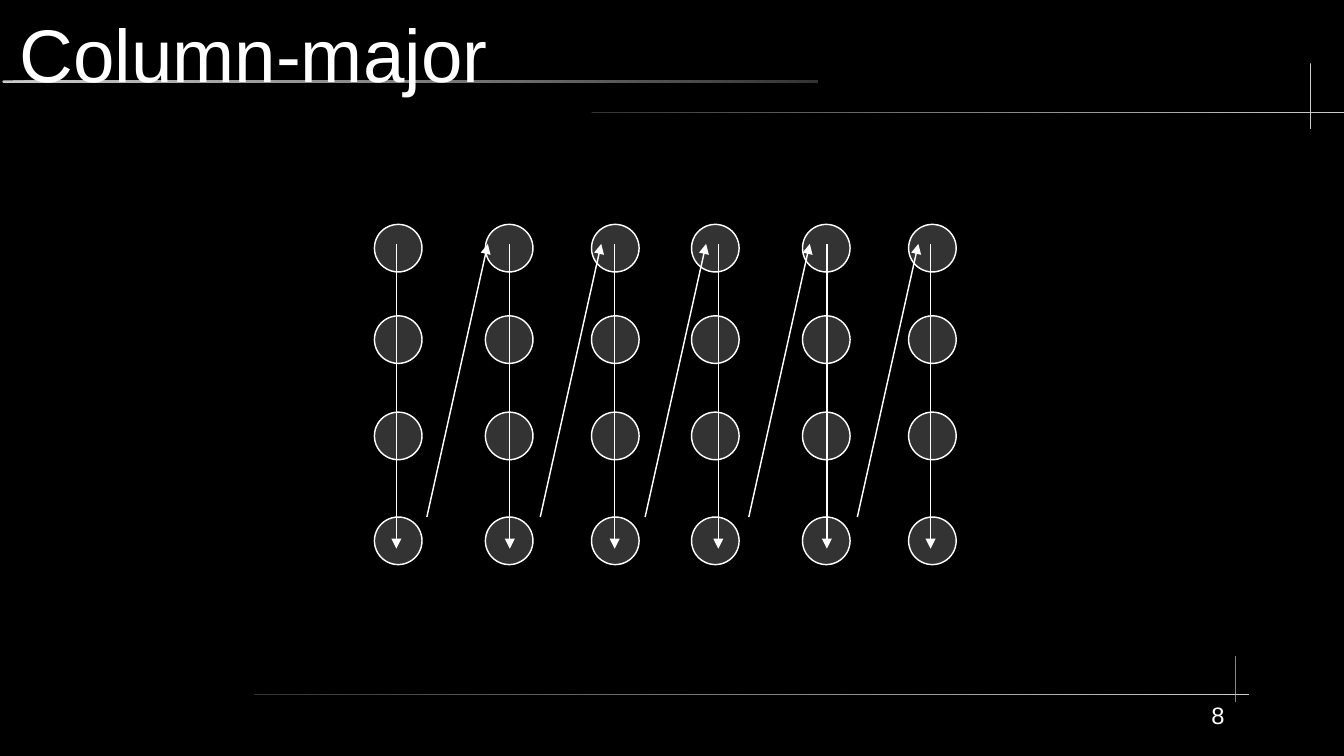
from lxml.etree import SubElement
from pptx import Presentation
from pptx.dml.color import RGBColor
from pptx.enum.shapes import MSO_CONNECTOR, MSO_SHAPE
from pptx.enum.text import MSO_ANCHOR, PP_ALIGN
from pptx.oxml.ns import qn
from pptx.util import Inches, Pt

BLACK = RGBColor(0x00, 0x00, 0x00)
WHITE = RGBColor(0xFF, 0xFF, 0xFF)
DARK_GRAY = RGBColor(0x33, 0x33, 0x33)
LIGHT_GRAY = RGBColor(0xCC, 0xCC, 0xCC)

FONT = "Arial"
LINE_WIDTH = Pt(0.85)
CIRCLE_SIZE = 0.39
COLUMN_OFFSETS = (0, 0.91, 1.78, 2.6, 3.51, 4.38)
ROW_OFFSETS = (0, 0.75, 1.54, 2.4)
SCAN_OFFSETS = (0.18, 1.11, 1.97, 2.82, 3.71, 4.56)
SCAN_TOP, SCAN_BOTTOM = 0.16, 2.66


def add_rule(slide, left, top, width, height, start_color, end_color):
    shape = slide.shapes.add_shape(
        MSO_SHAPE.ROUNDED_RECTANGLE, Inches(left), Inches(top), Inches(width), Inches(height)
    )
    shape.adjustments[0] = 0.5
    shape.shadow.inherit = False
    shape.line.fill.background()
    shape.fill.gradient()
    shape.fill.gradient_angle = 0
    for stop, color in zip(shape.fill.gradient_stops, (start_color, end_color)):
        stop.color.rgb = color


def add_text(slide, left, top, width, height, text, size, alignment, anchor):
    box = slide.shapes.add_textbox(Inches(left), Inches(top), Inches(width), Inches(height))
    text_frame = box.text_frame
    text_frame.word_wrap = True
    text_frame.vertical_anchor = anchor
    text_frame.margin_left = text_frame.margin_right = 0
    text_frame.margin_top = text_frame.margin_bottom = 0
    text_frame.text = text
    paragraph = text_frame.paragraphs[0]
    paragraph.alignment = alignment
    font = paragraph.runs[0].font
    font.name = FONT
    font.size = Pt(size)
    font.color.rgb = WHITE


def add_circle(slide, left, top):
    shape = slide.shapes.add_shape(
        MSO_SHAPE.OVAL, Inches(left), Inches(top), Inches(CIRCLE_SIZE), Inches(CIRCLE_SIZE)
    )
    shape.shadow.inherit = False
    shape.fill.solid()
    shape.fill.fore_color.rgb = DARK_GRAY
    shape.line.color.rgb = WHITE
    shape.line.width = LINE_WIDTH


def add_arrow(slide, start_x, start_y, end_x, end_y):
    connector = slide.shapes.add_connector(
        MSO_CONNECTOR.STRAIGHT, Inches(start_x), Inches(start_y), Inches(end_x), Inches(end_y)
    )
    connector.line.color.rgb = WHITE
    connector.line.width = LINE_WIDTH
    SubElement(connector.line._get_or_add_ln(), qn("a:tailEnd"), type="triangle")
    SubElement(connector._element.spPr, qn("a:effectLst"))


def add_decoration(slide, left, top):
    add_rule(slide, left + 0.02, top + 0.66, 6.69, 0.02, LIGHT_GRAY, DARK_GRAY)
    add_rule(slide, left + 4.85, top + 0.92, 6.21, 0.01, DARK_GRAY, LIGHT_GRAY)
    add_rule(slide, left + 10.74, top + 0.52, 0.01, 0.54, LIGHT_GRAY, LIGHT_GRAY)
    add_rule(slide, left + 2.08, top + 5.69, 8.16, 0.01, DARK_GRAY, LIGHT_GRAY)
    add_rule(slide, left + 10.13, top + 5.38, 0.01, 0.38, LIGHT_GRAY, LIGHT_GRAY)


def add_traversal(slide, left, top):
    for row in ROW_OFFSETS:
        for column in COLUMN_OFFSETS:
            add_circle(slide, left + column, top + row)
    for index, offset in enumerate(SCAN_OFFSETS):
        x = left + offset
        add_arrow(slide, x, top + SCAN_TOP, x, top + SCAN_BOTTOM)
        if index < len(SCAN_OFFSETS) - 1:
            add_arrow(slide, x + 0.25, top + ROW_OFFSETS[-1], x + 0.75, top + SCAN_TOP)


def main():
    presentation = Presentation()
    presentation.slide_width = Inches(11.02)
    presentation.slide_height = Inches(6.2)
    slide = presentation.slides.add_slide(presentation.slide_layouts[6])
    slide.background.fill.solid()
    slide.background.fill.fore_color.rgb = BLACK
    add_decoration(slide, 0, 0)
    add_text(slide, 0.16, 0.08, 10.43, 0.71, "Column-major", 44, PP_ALIGN.LEFT, MSO_ANCHOR.MIDDLE)
    add_traversal(slide, 3.07, 1.84)
    add_text(slide, 8.27, 5.75, 1.77, 0.45, "8", 14, PP_ALIGN.RIGHT, MSO_ANCHOR.TOP)
    presentation.save("out.pptx")


if __name__ == "__main__":
    main()
